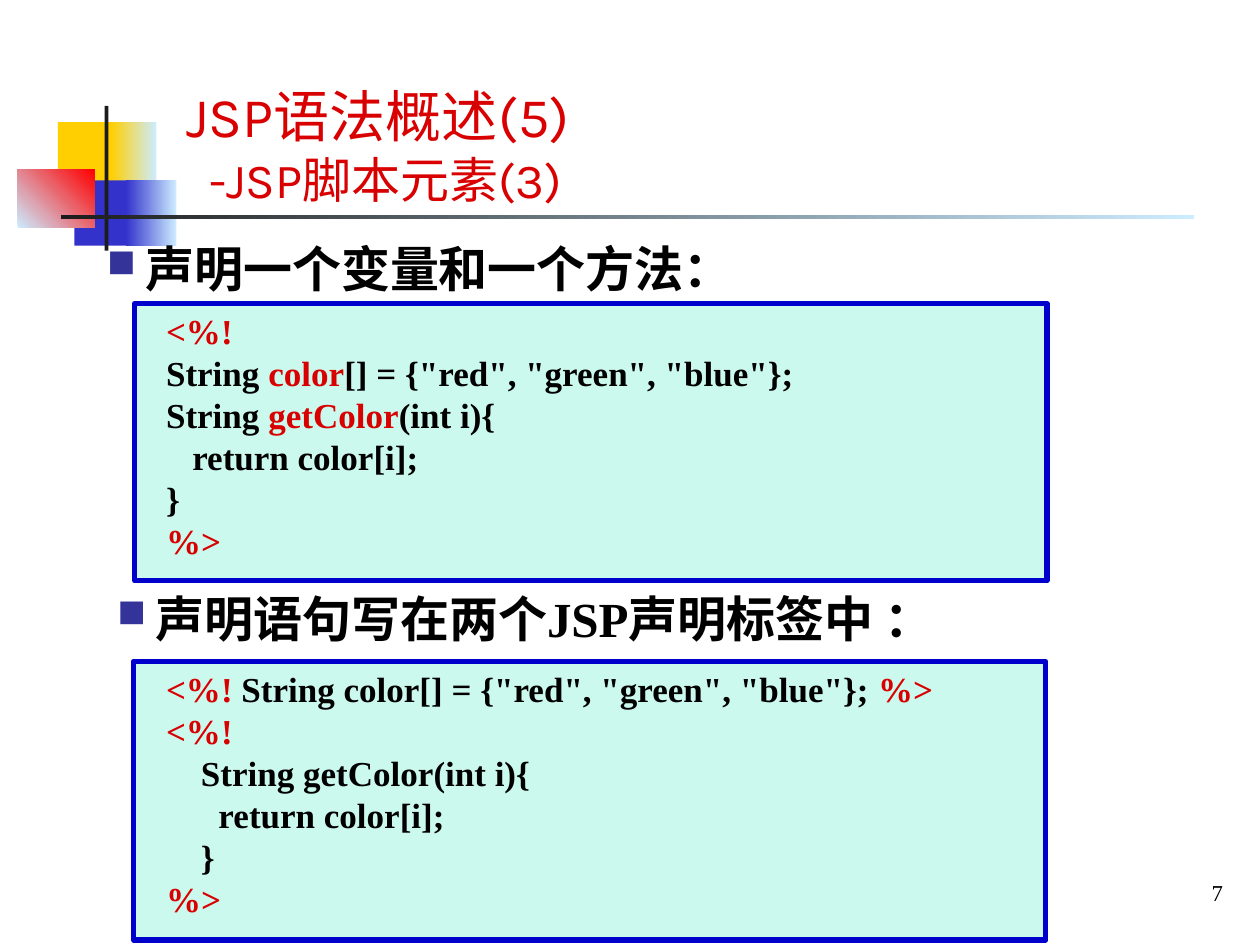
from dataclasses import dataclass
from typing import Optional

import pptx
import pptx.dml.color
import pptx.enum.shapes
import pptx.enum.text
import pptx.oxml
import pptx.oxml.ns
import pptx.util
from lxml import etree

Pt = pptx.util.Pt
RGBColor = pptx.dml.color.RGBColor
Anchor = pptx.enum.text.MSO_ANCHOR
Align = pptx.enum.text.PP_ALIGN

YELLOW = RGBColor(0xFF, 0xCF, 0x01)
SKY = RGBColor(0xCC, 0xEC, 0xFF)
BLUE = RGBColor(0x33, 0x33, 0xCC)
BRIGHT_RED = RGBColor(0xFF, 0x00, 0x00)
CHARCOAL = RGBColor(0x1C, 0x1C, 0x1C)
MINT = RGBColor(0x00, 0xE4, 0xA8)
FRAME = RGBColor(0x00, 0x00, 0xCC)
BULLET = RGBColor(0x33, 0x33, 0x99)
RED = RGBColor(0xD8, 0x00, 0x00)
BLACK = RGBColor(0x00, 0x00, 0x00)

SERIF = "Times New Roman"
TITLE_FONT = "Karla"


@dataclass
class Block:
    left: float
    top: float
    width: float
    height: float
    color: RGBColor
    end_color: Optional[RGBColor] = None
    angle: float = 0


@dataclass
class Span:
    text: str
    color: RGBColor = BLACK
    size: float = 20


@dataclass
class Section:
    heading: str
    heading_left: float
    heading_top: float
    panel: Block
    code: list[list[Span]]


DECORATION = [
    Block(33.1, 69.8, 34.6, 37.4, YELLOW),
    Block(63.4, 69.8, 25.9, 37.4, YELLOW, SKY),
    Block(42.5, 103, 33.1, 37.4, BLUE),
    Block(72, 103, 28.8, 37.4, BLUE, SKY),
    Block(10.1, 97, 43.9, 33.1, SKY, BRIGHT_RED, 45),
    Block(59.8, 60.5, 2.2, 82.8, CHARCOAL),
    Block(34.6, 123.1, 648, 2.2, CHARCOAL, SKY),
]

SECTIONS = [
    Section(
        "声明一个变量和一个方法：", 54, 132.5,
        Block(77, 173.5, 521.3, 158.4, MINT),
        [
            [Span("<%!", RED)],
            [Span("String "), Span("color", RED),
             Span('[] = {"red", "green", "blue"};')],
            [Span("String "), Span("getColor", RED), Span("(int i){")],
            [Span("   return color[i];")],
            [Span("}")],
            [Span("%>", RED)],
        ],
    ),
    Section(
        "声明语句写在两个JSP声明标签中 ：", 59.8, 332.6,
        Block(76.3, 378, 521.3, 159.1, MINT),
        [
            [Span("<%!", RED),
             Span(' String color[] = {"red", "green", "blue"}; '),
             Span("%>", RED)],
            [Span("<%!", RED)],
            [Span("    String getColor(int i){")],
            [Span("      return color[i];")],
            [Span("    }")],
            [Span("%>", RED)],
        ],
    ),
]


def add_block(page, block: Block):
    """Draw a borderless rectangle with a solid or two-colour fill."""
    shape = page.shapes.add_shape(
        pptx.enum.shapes.MSO_SHAPE.RECTANGLE,
        Pt(block.left), Pt(block.top), Pt(block.width), Pt(block.height))
    shape.shadow.inherit = False
    shape.line.fill.background()
    if block.end_color is None:
        shape.fill.solid()
        shape.fill.fore_color.rgb = block.color
    else:
        shape.fill.gradient()
        shape.fill.gradient_angle = block.angle
        for stop, color, position in zip(
                shape.fill.gradient_stops, (block.color, block.end_color), (0, 1)):
            stop.color.rgb = color
            stop.position = position
    return shape


def add_panel(page, block: Block) -> None:
    """Draw the tinted, framed background of a code sample."""
    panel = add_block(page, block)
    color = panel.fill._xPr.find(".//" + pptx.oxml.ns.qn("a:srgbClr"))
    etree.SubElement(color, pptx.oxml.ns.qn("a:alpha"), val="20000")
    panel.line.color.rgb = FRAME
    panel.line.width = Pt(3)


def add_bullet(para, indent: float) -> None:
    properties = para._p.get_or_add_pPr()
    properties.set("marL", str(Pt(indent)))
    properties.set("indent", str(-Pt(indent)))
    color = etree.SubElement(properties, pptx.oxml.ns.qn("a:buClr"))
    etree.SubElement(color, pptx.oxml.ns.qn("a:srgbClr"), val=str(BULLET))
    etree.SubElement(properties, pptx.oxml.ns.qn("a:buSzPct"), val="80000")
    etree.SubElement(properties, pptx.oxml.ns.qn("a:buChar"), char="■")


def add_text(page, lines: list[list[Span]], *, left: float, top: float,
             width: float, height: float, font: str = SERIF,
             bold: bool = False, anchor=Anchor.TOP, align=Align.LEFT,
             bullet_indent: float = 0, last_indent: float = 0) -> None:
    """Write one paragraph per line, with each span in its own format."""
    box = page.shapes.add_textbox(Pt(left), Pt(top), Pt(width), Pt(height))
    frame = box.text_frame
    frame.word_wrap = True
    frame.vertical_anchor = anchor
    for index, line in enumerate(lines):
        para = frame.paragraphs[0] if index == 0 else frame.add_paragraph()
        para.alignment = align
        if bullet_indent:
            add_bullet(para, bullet_indent)
        for span in line:
            run = para.add_run()
            run.text = span.text
            run.font.name = font
            run.font.size = Pt(span.size)
            run.font.bold = bold
            run.font.color.rgb = span.color
    if last_indent:
        para._p.get_or_add_pPr().set("marL", str(Pt(last_indent)))


def main() -> None:
    deck = pptx.Presentation()
    deck.slide_width, deck.slide_height = Pt(720), Pt(540)
    page = deck.slides.add_slide(deck.slide_layouts[6])

    # Corner decoration and title rule
    for block in DECORATION:
        add_block(page, block)

    # Page number
    add_text(page, [[Span("7", size=13)]], left=568, top=496.8, width=138,
             height=26.6, anchor=Anchor.MIDDLE, align=Align.RIGHT)

    # Headings with their code samples
    for section in SECTIONS:
        add_panel(page, section.panel)
        add_text(page, [[Span(section.heading, size=28)]],
                 left=section.heading_left, top=section.heading_top,
                 width=635, height=41, bold=True, anchor=Anchor.MIDDLE,
                 bullet_indent=22)
        add_text(page, section.code, left=87.8, top=section.panel.top,
                 width=459.4, height=151.2, bold=True)

    # Title
    add_text(page, [[Span("JSP语法概述(5)", RED, 32)],
                    [Span("-JSP脚本元素(3)", RED, 28)]],
             left=99.4, top=37.4, width=527, height=85, font=TITLE_FONT,
             anchor=Anchor.BOTTOM, last_indent=13)

    deck.save("out.pptx")


if __name__ == "__main__":
    main()
